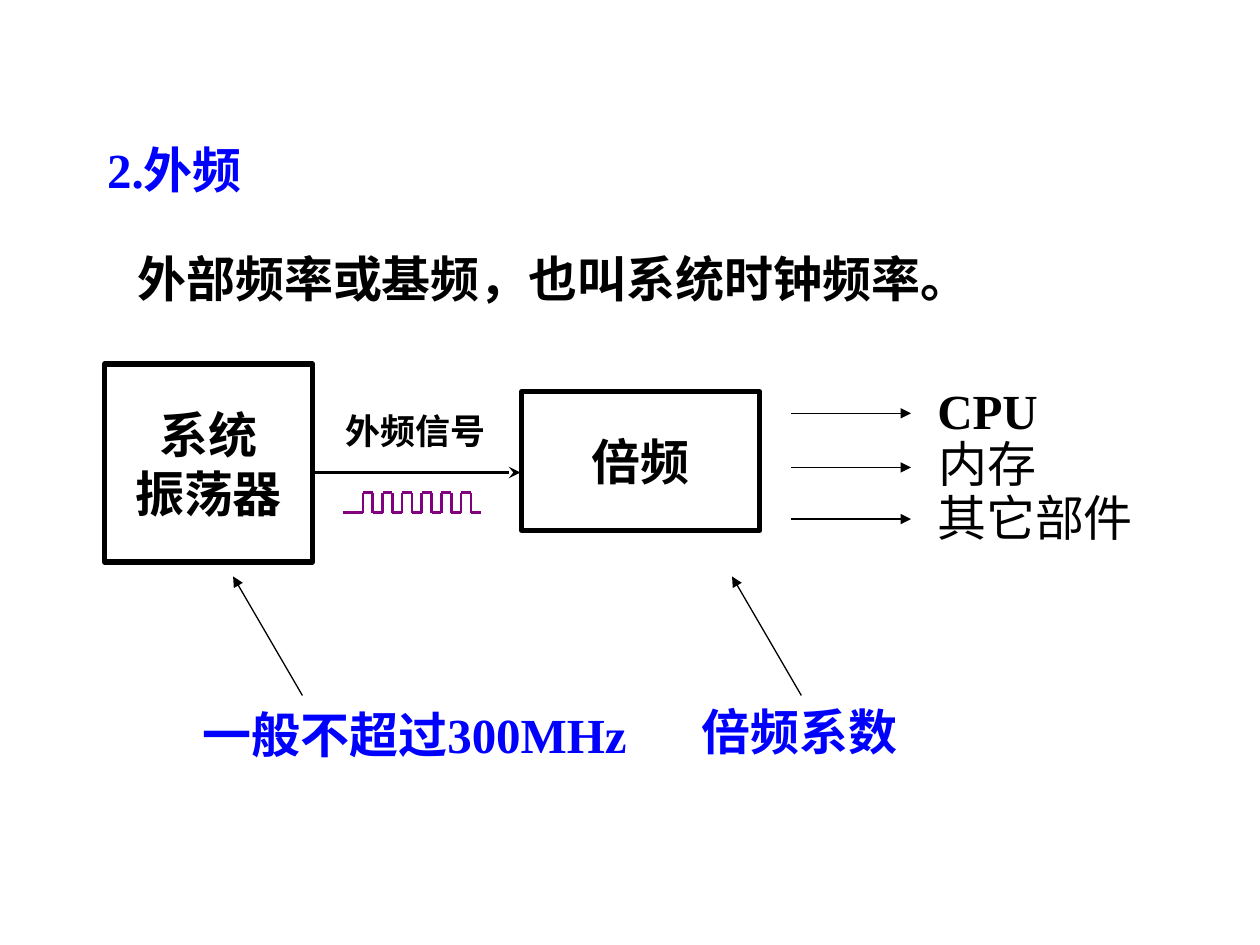
"""Build a slide on the external clock frequency and its multiplier."""
from lxml import etree
from pptx import Presentation
from pptx.dml.color import RGBColor
from pptx.enum.shapes import MSO_CONNECTOR, MSO_SHAPE
from pptx.enum.text import MSO_ANCHOR, MSO_AUTO_SIZE, PP_ALIGN
from pptx.oxml.ns import qn
from pptx.util import Inches, Pt

STRAIGHT = MSO_CONNECTOR.STRAIGHT
RECT = MSO_SHAPE.RECTANGLE
TOP, MIDDLE = MSO_ANCHOR.TOP, MSO_ANCHOR.MIDDLE
GROW, FIXED = MSO_AUTO_SIZE.SHAPE_TO_FIT_TEXT, MSO_AUTO_SIZE.NONE
LEFT, CENTER = PP_ALIGN.LEFT, PP_ALIGN.CENTER
COLORS = {"ink": "000000", "accent": "0000FF", "wave": "800080"}
SERIF, SANS = "Times New Roman", "Arial"

prs = Presentation()
prs.slide_width, prs.slide_height = Inches(10), Inches(7.5)
COL, ROW = prs.slide_width / 100, prs.slide_height / 75
s = prs.slides.add_slide(prs.slide_layouts[1])


def write(sp, text, color="ink", size=28, bold=True, font=SERIF,
          align=LEFT, anchor=TOP, wrap=False, grow=GROW):
    tf = sp.text_frame
    tf.text = text
    tf.word_wrap, tf.auto_size, tf.vertical_anchor = wrap, grow, anchor
    for p in tf.paragraphs:
        p.alignment = align
        for r in p.runs:
            r.font.name, r.font.size, r.font.bold = font, Pt(size), bold
            r.font.color.rgb = RGBColor.from_string(COLORS[color])


def draw_line(x1, y1, x2, y2, width=0.75, color="ink", head=None):
    ends = [round(v) for v in (x1 * COL, y1 * ROW, x2 * COL, y2 * ROW)]
    sp = s.shapes.add_connector(STRAIGHT, *ends)
    sp.line.width = Pt(width)
    sp.line.color.rgb = RGBColor.from_string(COLORS[color])
    if head:
        etree.SubElement(sp.line._get_or_add_ln(), qn("a:tailEnd"), type=head)
    etree.SubElement(sp._element.spPr, qn("a:effectLst"))


title, body = s.shapes.title, s.placeholders[1]
for sp, x, y, w, h in [(title, 7.5, 11.5, 36.7, 4.8), (body, 9.9, 19.2, 81.9, 5.7)]:
    sp.left, sp.top = round(x * COL), round(y * ROW)
    sp.width, sp.height = round(w * COL), round(h * ROW)
write(title, "2.外频", "accent", wrap=True)
title.text_frame.paragraphs[0].line_spacing = 0.8
write(body, "外部频率或基频，也叫系统时钟频率。", font=SANS, wrap=True)
pPr = body.text_frame.paragraphs[0]._p.get_or_add_pPr()
pPr.set("marL", "0")
pPr.set("indent", "0")
etree.SubElement(pPr, qn("a:buNone"))

for text, x, y, w, h in [("系统\n振荡器", 8.3, 28.9, 16.5, 15.7),
                         ("倍频", 41.4, 31.1, 18.9, 11)]:
    sp = s.shapes.add_shape(RECT, round(x * COL), round(y * ROW),
                            round(w * COL), round(h * ROW))
    sp.shadow.inherit = False
    sp.fill.background()
    sp.line.width = Pt(3)
    sp.line.color.rgb = RGBColor.from_string(COLORS["ink"])
    write(sp, text, align=CENTER, anchor=MIDDLE, grow=FIXED)

labels = [
    ("一般不超过300MHz", 15.1, 55.4, 35.8, 5.7, "accent", 28, True, True),
    ("倍频系数", 54.7, 55.2, 17.6, 5.7, "accent", 28, True, False),
    ("CPU", 73.4, 29.7, 10.1, 5.7, "ink", 28, True, False),
    ("内存", 73.5, 33.9, 9.8, 5.7, "ink", 28, False, False),
    ("其它部件", 73.4, 38.2, 17.6, 5.7, "ink", 28, False, False),
    ("外频信号", 26.4, 32, 13.3, 4.4, "ink", 20, True, False),
]
for text, x, y, w, h, color, size, bold, wrap in labels:
    sp = s.shapes.add_textbox(round(x * COL), round(y * ROW),
                              round(w * COL), round(h * ROW))
    write(sp, text, color, size, bold, wrap=wrap)

for x in (24, 63.6):
    draw_line(x, 55.2, x - 5.5, 45.75, head="triangle")
for y in (32.8, 37.1, 41.2):
    draw_line(62.8, y, 72.3, y, head="triangle")
draw_line(25, 37.5, 41.3, 37.5, width=2.25, head="stealth")

HIGH, LOW, STEP, EDGES = 39.1, 40.7, 0.78, 12
points = [(27.2, LOW)]
for i in range(EDGES):
    x = 28.8 + i * STEP
    points += [(x, LOW), (x, HIGH)] if i % 2 == 0 else [(x, HIGH), (x, LOW)]
points.append((28.8 + EDGES * STEP, LOW))
for start, end in zip(points, points[1:]):
    draw_line(*start, *end, width=1.5, color="wave")

prs.save("out.pptx")
